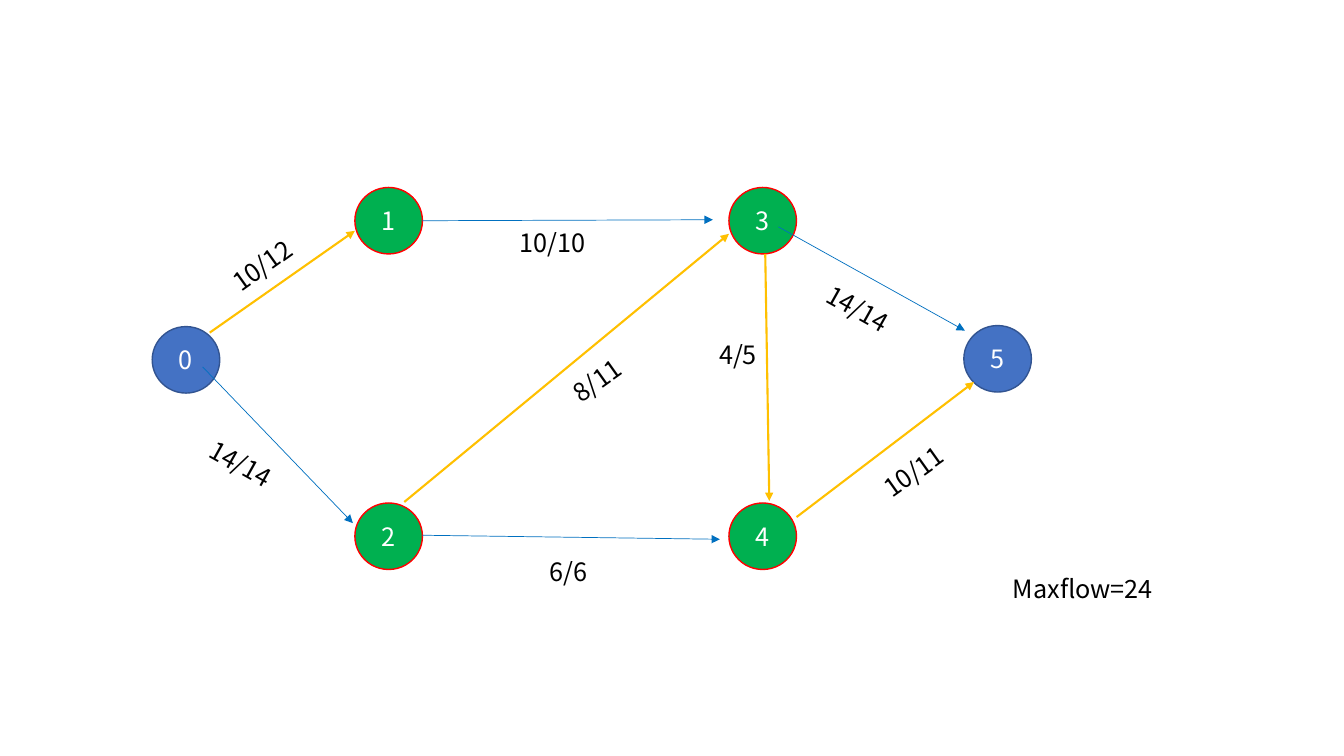
import pptx
import pptx.dml.color
import pptx.enum.shapes
import pptx.enum.text
import pptx.oxml
import pptx.oxml.ns
import pptx.util

RGBColor = pptx.dml.color.RGBColor
WHITE = RGBColor(0xFF, 0xFF, 0xFF)
BLACK = RGBColor(0x00, 0x00, 0x00)
BLUE = RGBColor(0x44, 0x72, 0xC4)
NAVY = RGBColor(0x32, 0x54, 0x91)
GREEN = RGBColor(0x00, 0xB0, 0x50)
RED = RGBColor(0xFF, 0x00, 0x00)
GOLD = RGBColor(0xFF, 0xC0, 0x00)
AZURE = RGBColor(0x00, 0x70, 0xC0)

SCALE = 9144  # EMU per px, 100 px to the inch
UP, DOWN = 324.5, 29.3  # slants of the edge labels
LEFT, RIGHT, TOP, BASE = 352, 723, 186, 499  # inner node grid

# name, left, top, fill, line
NODES = [
    ("0", 151, 324, BLUE, NAVY),
    ("5", 956, 323, BLUE, NAVY),
    ("1", LEFT, TOP, GREEN, RED),
    ("2", LEFT, BASE, GREEN, RED),
    ("3", RIGHT, TOP, GREEN, RED),
    ("4", RIGHT, BASE, GREEN, RED),
]
# start, end
SPARE = [
    ((208, 330), (352, 229)),
    ((790, 513), (966, 379)),
    ((401, 498), (723, 232)),
    ((759, 252), (763, 497)),
]
FULL = [
    ((419, 531), (714, 535)),
    ((419, 219), (707, 218)),
    ((772, 225), (957, 328)),
    ((201, 364), (350, 519)),
]
# text, left, top, width, turn
LABELS = [
    ("10/12", 188, 243, 144, UP),
    ("10/11", 834, 448, 144, UP),
    ("8/11", 520, 357, 144, UP),
    ("6/6", 492, 547, 144, 0),
    ("10/10", 476, 221, 144, 0),
    ("4/5", 689, 332, 86, 0),
    ("14/14", 779, 286, 144, DOWN),
    ("14/14", 167, 440, 144, DOWN),
    ("Maxflow=24", 941, 564, 266, 0),
]


def px(*sizes):
    """Turn px lengths into EMU."""
    return [pptx.util.Emu(size * SCALE) for size in sizes]


def tag(name, extra=""):
    """Make an empty element of the drawing namespace."""
    return pptx.oxml.parse_xml(
        f'<a:{name} {pptx.oxml.ns.nsdecls("a")} {extra}/>')


class Graph:
    font = "Noto Sans CJK SC"
    size = pptx.util.Pt(18)

    def __init__(self, slide):
        self.shapes = slide.shapes

    def style(self, frame, text, color):
        """Put centred text into a frame."""
        frame.text = text
        para = frame.paragraphs[0]
        para.alignment = pptx.enum.text.PP_ALIGN.CENTER
        para.font.name = self.font
        para.font.size = self.size
        para.font.color.rgb = color

    def node(self, name, left, top, fill, line):
        oval = self.shapes.add_shape(
            pptx.enum.shapes.MSO_SHAPE.OVAL, *px(left, top, 67, 66))
        oval.shadow.inherit = False
        oval.fill.solid()
        oval.fill.fore_color.rgb = fill
        oval.line.color.rgb = line
        oval.line.width = pptx.util.Pt(1)
        oval.text_frame.vertical_anchor = pptx.enum.text.MSO_ANCHOR.MIDDLE
        self.style(oval.text_frame, name, WHITE)

    def arrow(self, start, end, color, width):
        edge = self.shapes.add_connector(
            pptx.enum.shapes.MSO_CONNECTOR.STRAIGHT, *px(*start, *end))
        edge.line.color.rgb = color
        edge.line.width = pptx.util.Pt(width)
        props = edge.element.spPr
        line = props.find(pptx.oxml.ns.qn("a:ln"))
        line.append(tag("tailEnd", 'type="triangle"'))
        props.append(tag("effectLst"))

    def label(self, text, left, top, width, turn):
        box = self.shapes.add_textbox(*px(left, top, width, 40))
        box.rotation = turn
        box.text_frame.word_wrap = True
        box.text_frame.auto_size = pptx.enum.text.MSO_AUTO_SIZE.SHAPE_TO_FIT_TEXT
        self.style(box.text_frame, text, BLACK)


def main():
    deck = pptx.Presentation()
    deck.slide_width, deck.slide_height = px(1333, 750)
    graph = Graph(deck.slides.add_slide(deck.slide_layouts[6]))
    for node in NODES:
        graph.node(*node)
    for start, end in SPARE:
        graph.arrow(start, end, GOLD, 1.5)
    for start, end in FULL:
        graph.arrow(start, end, AZURE, 0.5)
    for label in LABELS:
        graph.label(*label)
    deck.save("out.pptx")


if __name__ == "__main__":
    main()
